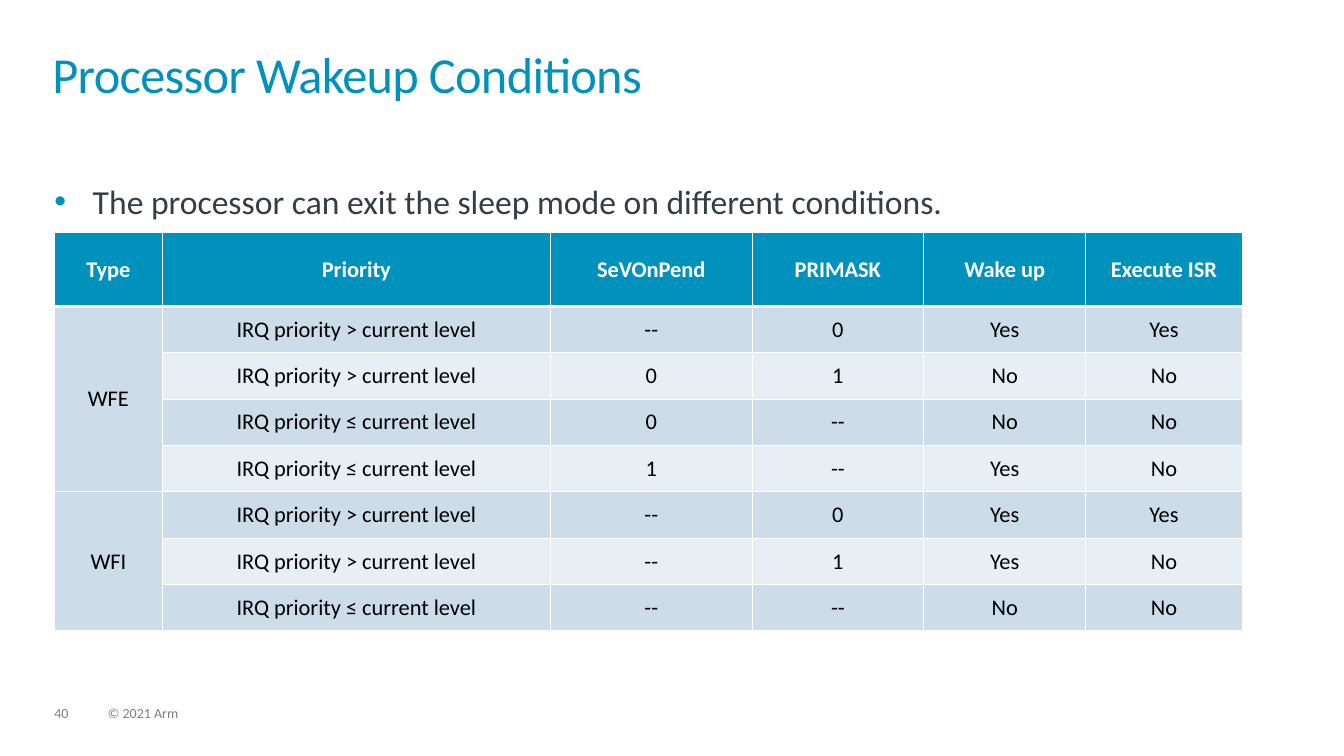
from lxml.etree import SubElement
from pptx import Presentation
from pptx.dml.color import RGBColor
from pptx.enum.text import MSO_ANCHOR, PP_ALIGN
from pptx.oxml.ns import qn
from pptx.util import Inches, Pt

BLUE = RGBColor(0x00, 0x91, 0xBD)
SLATE = RGBColor(0x33, 0x3E, 0x48)
GREY = RGBColor(0x7F, 0x7F, 0x7F)
WHITE = RGBColor(0xFF, 0xFF, 0xFF)
BLACK = RGBColor(0x00, 0x00, 0x00)
DARK = RGBColor(0xCC, 0xDC, 0xE8)
LIGHT = RGBColor(0xE7, 0xEE, 0xF4)

WIDTHS = [1.07, 3.85, 2, 1.7, 1.61, 1.55]
HEAD_H, ROW_H = 0.73, 0.46
ABOVE = "IRQ priority > current level"
BELOW = "IRQ priority ≤ current level"
ROWS = [
    ["Type", "Priority", "SeVOnPend", "PRIMASK", "Wake up", "Execute ISR"],
    ["WFE", ABOVE, "--", "0", "Yes", "Yes"],
    ["", ABOVE, "0", "1", "No", "No"],
    ["", BELOW, "0", "--", "No", "No"],
    ["", BELOW, "1", "--", "Yes", "No"],
    ["WFI", ABOVE, "--", "0", "Yes", "Yes"],
    ["", ABOVE, "--", "1", "Yes", "No"],
    ["", BELOW, "--", "--", "No", "No"],
]
SPANS = [(1, 4), (5, 7)]


def style(run, size, color, bold=False):
    """Set the font of a run."""
    font = run.font
    font.name, font.size, font.bold = "Calibri", Pt(size), bold
    font.color.rgb = color


def add_text(slide, text, box, size, color, spacing=1.0):
    """Add a one-line text box and return its paragraph."""
    frame = slide.shapes.add_textbox(*map(Inches, box)).text_frame
    frame.word_wrap = True
    frame.margin_left = frame.margin_right = 0
    frame.margin_top = frame.margin_bottom = 0
    frame.text = text
    para = frame.paragraphs[0]
    para.line_spacing = spacing
    style(para.runs[0], size, color)
    return para


def add_bullet(para, indent):
    """Give a paragraph a coloured bullet with a hanging indent."""
    props = para._p.get_or_add_pPr()
    props.set("marL", str(Inches(indent)))
    props.set("indent", str(-Inches(indent)))
    tint = SubElement(props, qn("a:buClr"))
    SubElement(tint, qn("a:srgbClr"), val=str(BLUE))
    SubElement(props, qn("a:buFont"), typeface="Arial")
    SubElement(props, qn("a:buChar"), char="•")


def add_lines(cell, row):
    """Draw white cell borders, thicker under the header."""
    props = cell._tc.get_or_add_tcPr()
    for side in "LRTB":
        thick = (row, side) in ((0, "B"), (1, "T"))
        line = SubElement(props, qn("a:ln" + side), w=str(Pt(3 if thick else 1)))
        fill = SubElement(line, qn("a:solidFill"))
        SubElement(fill, qn("a:srgbClr"), val=str(WHITE))


def fill_cell(cell, text, row, back):
    """Set the text, borders and fill of a cell."""
    add_lines(cell, row)
    cell.fill.solid()
    cell.fill.fore_color.rgb = back
    cell.vertical_anchor = MSO_ANCHOR.MIDDLE
    cell.margin_left = cell.margin_right = Inches(0.13)
    cell.margin_top = cell.margin_bottom = Inches(0.05)
    cell.text_frame.text = text
    para = cell.text_frame.paragraphs[0]
    para.alignment = PP_ALIGN.CENTER
    para.font.size = Pt(16)
    for run in para.runs:
        style(run, 16, BLACK if row else WHITE, bold=row == 0)


def add_grid(slide):
    """Add the table of wakeup conditions."""
    height = HEAD_H + ROW_H * (len(ROWS) - 1)
    box = map(Inches, (0.54, 2.31, sum(WIDTHS), height))
    table = slide.shapes.add_table(len(ROWS), len(WIDTHS), *box).table
    for col, width in zip(table.columns, WIDTHS):
        col.width = Inches(width)
    for r, texts in enumerate(ROWS):
        table.rows[r].height = Inches(ROW_H if r else HEAD_H)
        band = DARK if r % 2 else LIGHT
        for c, text in enumerate(texts):
            back = BLUE if r == 0 else DARK if c == 0 else band
            fill_cell(table.cell(r, c), text, r, back)
    for first, last in SPANS:
        table.cell(first, 0).merge(table.cell(last, 0))


def main():
    """Build and save the slide."""
    deck = Presentation()
    deck.slide_width, deck.slide_height = Inches(13.33), Inches(7.5)
    slide = deck.slides.add_slide(deck.slide_layouts[6])
    add_text(slide, "40", (0.54, 7.01, 0.34, 0.15), 10, GREY, 0.9)
    add_text(slide, "© 2021 Arm", (1.07, 7.01, 5.07, 0.15), 10, GREY, 0.9)
    title = add_text(slide, "Processor Wakeup Conditions",
                     (0.52, 0.52, 12.28, 0.72), 36, BLUE, 0.85)
    title.runs[0].font._element.set("spc", "-50")
    body = add_text(slide, "The processor can exit the sleep mode on different conditions.",
                    (0.54, 1.79, 12.23, 0.52), 24, SLATE)
    add_bullet(body, 0.38)
    add_grid(slide)
    deck.save("out.pptx")


if __name__ == "__main__":
    main()
